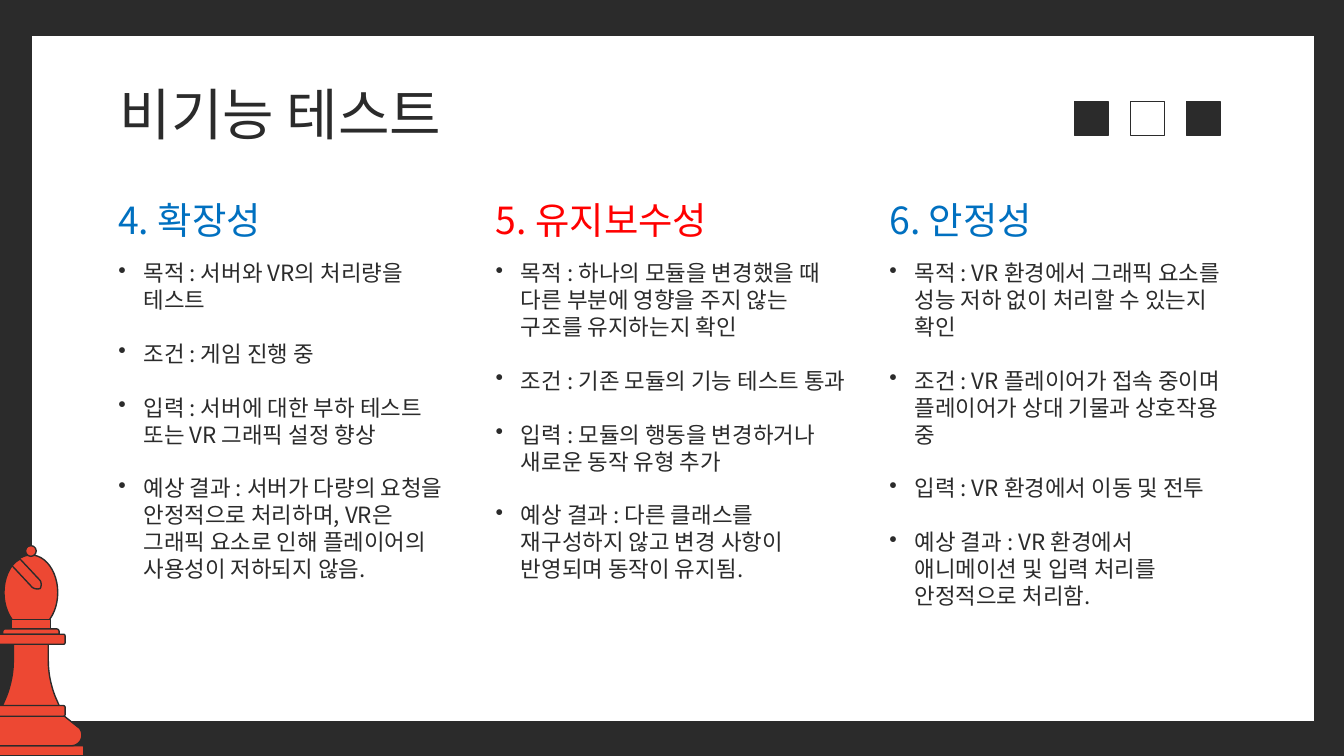
from lxml import etree
from pptx import Presentation
from pptx.dml.color import RGBColor
from pptx.enum.shapes import MSO_SHAPE
from pptx.enum.text import MSO_ANCHOR
from pptx.oxml.ns import qn
from pptx.util import Pt

RECTANGLE = MSO_SHAPE.RECTANGLE
ROUNDED = MSO_SHAPE.ROUNDED_RECTANGLE
TOP_ROUNDED = MSO_SHAPE.ROUND_2_SAME_RECTANGLE
OVAL = MSO_SHAPE.OVAL
TOP, BOTTOM = MSO_ANCHOR.TOP, MSO_ANCHOR.BOTTOM

COLORS = {"dark": "2B2B2B", "white": "FFFFFF", "piece": "ED4833",
          "blue": "0070C0", "red": "FF0000"}
FONT = "Noto Sans CJK KR"
LINE_FACTOR = 1.2
INDENT = 13.5

# Left, width, heading, heading colour, points
COLUMNS = [
    (56.3, 194.4, "4. 확장성", "blue", [
        "목적 : 서버와 VR의 처리량을 테스트",
        "조건 : 게임 진행 중",
        "입력 : 서버에 대한 부하 테스트 또는 VR 그래픽 설정 향상",
        "예상 결과 : 서버가 다량의 요청을 안정적으로 처리하며, VR은 그래픽 요소로 인해 "
        "플레이어의 사용성이 저하되지 않음."]),
    (258.5, 203, "5. 유지보수성", "red", [
        "목적 : 하나의 모듈을 변경했을 때 다른 부분에 영향을 주지 않는 구조를 유지하는지 확인",
        "조건 : 기존 모듈의 기능 테스트 통과",
        "입력 : 모듈의 행동을 변경하거나 새로운 동작 유형 추가",
        "예상 결과 : 다른 클래스를 재구성하지 않고 변경 사항이 반영되며 동작이 유지됨."]),
    (469.4, 194.4, "6. 안정성", "blue", [
        "목적 : VR 환경에서 그래픽 요소를 성능 저하 없이 처리할 수 있는지 확인",
        "조건 : VR 플레이어가 접속 중이며 플레이어가 상대 기물과 상호작용 중",
        "입력 : VR 환경에서 이동 및 전투",
        "예상 결과 : VR 환경에서 애니메이션 및 입력 처리를 안정적으로 처리함."]),
]


def color(name):
    return RGBColor.from_string(COLORS[name])


def paint(shape, fill):
    shape.shadow.inherit = False
    shape.fill.solid()
    shape.fill.fore_color.rgb = color(fill)
    shape.line.color.rgb = color("dark")
    shape.line.width = Pt(0.75)


def add_preset(slide, kind, left, top, width, height, fill):
    shape = slide.shapes.add_shape(kind, Pt(left), Pt(top), Pt(width), Pt(height))
    paint(shape, fill)
    return shape


def add_bullet(paragraph):
    properties = paragraph._p.get_or_add_pPr()
    properties.set("marL", str(Pt(INDENT)))
    properties.set("indent", str(-Pt(INDENT)))
    bullet_color = etree.SubElement(properties, qn("a:buClr"))
    etree.SubElement(bullet_color, qn("a:srgbClr"), val=COLORS["dark"])
    etree.SubElement(properties, qn("a:buChar"), char="•")


def add_text(slide, box, lines, size, ink, anchor=TOP, bulleted=False):
    text_box = slide.shapes.add_textbox(*(Pt(value) for value in box))
    frame = text_box.text_frame
    frame.word_wrap = True
    frame.vertical_anchor = anchor
    frame.margin_left = frame.margin_right = Pt(7.2)
    frame.margin_top = frame.margin_bottom = Pt(7.2)
    frame.text = "\n".join(lines)
    for index, paragraph in enumerate(frame.paragraphs):
        if bulleted:
            add_bullet(paragraph)
        paragraph.line_spacing = Pt(size * LINE_FACTOR)
        if index:
            paragraph.space_before = Pt(size * LINE_FACTOR)
        for run in paragraph.runs:
            run.font.size = Pt(size)
            run.font.name = FONT
            run.font.color.rgb = color(ink)
            etree.SubElement(run._r.get_or_add_rPr(), qn("a:ea"), typeface=FONT)


def add_column(slide, left, top, width, heading, ink, points):
    add_text(slide, (left, top, width, 37.4), [heading], 20, ink, BOTTOM)
    add_text(slide, (left, top + 32.4, width, 238.3), points, 12, "dark",
             bulleted=True)


def add_squares(slide, left, top, size, step):
    for index, fill in enumerate(("dark", "white", "dark")):
        add_preset(slide, RECTANGLE, left + index * step, top, size, size, fill)


def curve(start, control_1, control_2, end, steps=10):
    """Points along a cubic curve, ends included."""
    points = []
    for step in range(steps + 1):
        t = step / steps
        weights = ((1 - t) ** 3, 3 * t * (1 - t) ** 2, 3 * t * t * (1 - t), t ** 3)
        points.append(tuple(
            sum(weight * value for weight, value in zip(weights, axis))
            for axis in zip(start, control_1, control_2, end)))
    return points


def add_bishop(slide, left, top, height):
    """Chess bishop, drawn in units of 1/156 of its height around its axis."""
    unit = height / 156
    axis = left + 40 * unit

    def part(kind, width, y, part_height):
        return add_preset(slide, kind, axis - width * unit / 2, top + y * unit,
                          width * unit, part_height * unit, "piece")

    def outline(points):
        corners = [(Pt(axis + x * unit), Pt(top + y * unit)) for x, y in points]
        builder = slide.shapes.build_freeform(*corners[0])
        builder.add_line_segments(corners[1:], close=True)
        paint(builder.convert_to_shape(), "piece")

    def symmetric(profile):
        outline(profile + [(-x, y) for x, y in reversed(profile)])

    # Stem, head and slot
    symmetric([(13, 72)] + curve((13, 86), (13, 95), (15, 104), (18, 112))
              + [(21.5, 120)])
    part(OVAL, 40, 7, 56)
    outline([(-8, 10), (-11, 12), (-14, 15), (1, 31)]
            + curve((1, 31), (3, 32.5), (5, 32.5), (7, 32))
            + curve((7, 32), (8, 30), (8, 28), (7, 26)))
    # Neck and collars
    part(RECTANGLE, 29, 55, 8)
    part(TOP_ROUNDED, 42, 62, 4).adjustments[0] = 0.5
    part(ROUNDED, 51, 66, 7.5)
    # Foot, slab, lower ring and knob
    part(ROUNDED, 79, 149, 7.5).adjustments[0] = 0.1
    symmetric([(22.5, 125)] + curve((35, 135), (37, 136), (38, 139), (38, 141))
              + curve((38, 141), (38, 145), (35, 149), (30, 149)))
    part(ROUNDED, 51, 119, 8)
    part(OVAL, 8, 0, 8)


def main():
    presentation = Presentation()
    presentation.slide_width, presentation.slide_height = Pt(720), Pt(405)
    slide = presentation.slides.add_slide(presentation.slide_layouts[6])
    slide.background.fill.solid()
    slide.background.fill.fore_color.rgb = color("dark")

    # Panel and decoration
    add_preset(slide, RECTANGLE, 16.6, 18.7, 687.6, 367.9, "white")
    add_bishop(slide, -12.24, 292.3, 112.3)
    add_squares(slide, 575.7, 54.5, 18, 30)

    # Title and columns
    add_text(slide, (57, 35.3, 607, 45.4), ["비기능 테스트"], 30, "dark")
    for left, width, heading, ink, points in COLUMNS:
        add_column(slide, left, 99.4, width, heading, ink, points)

    presentation.save("out.pptx")


if __name__ == "__main__":
    main()
